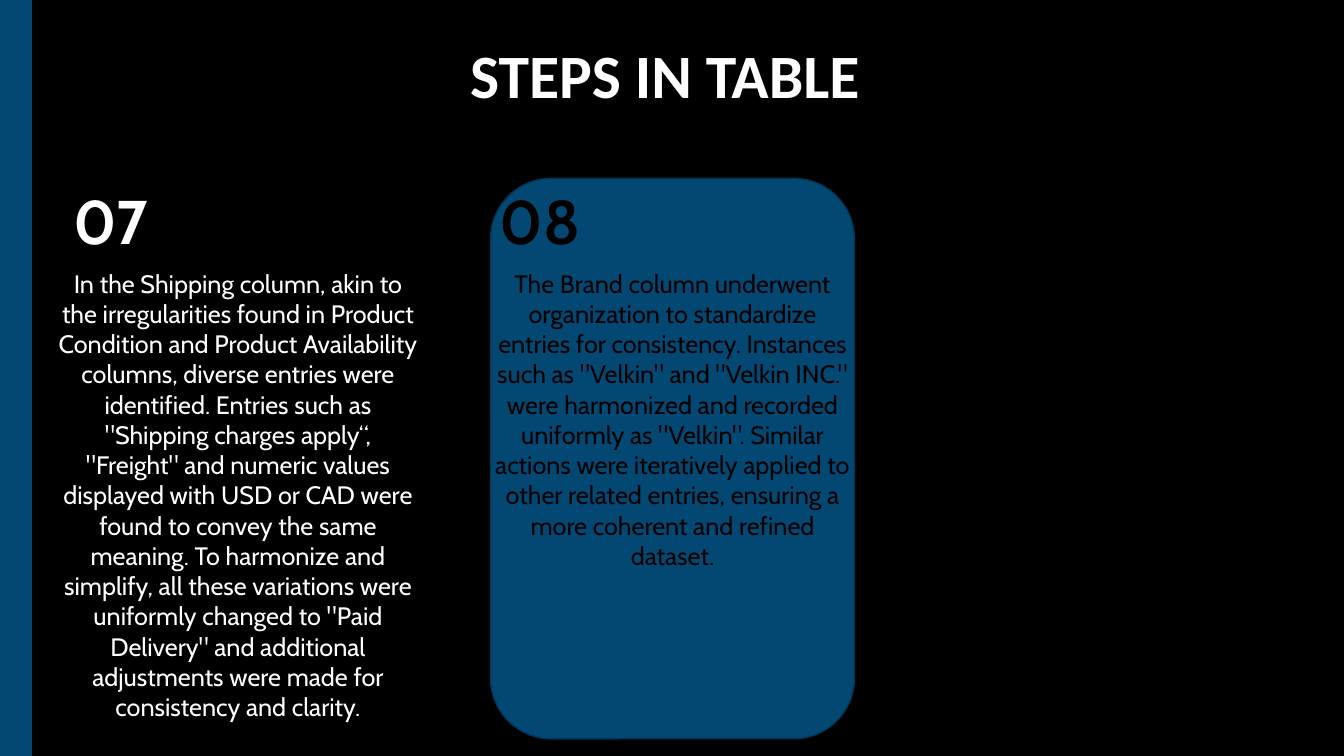
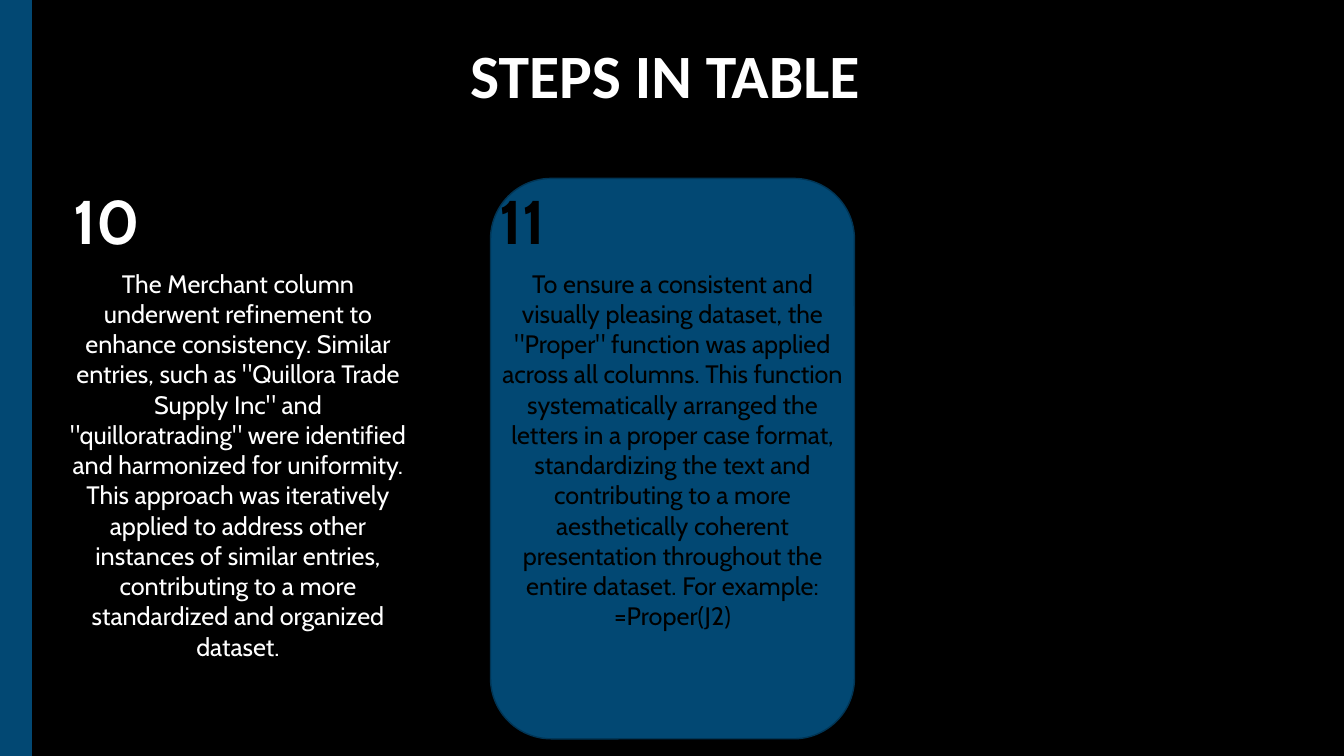
from dataclasses import dataclass

from pptx import Presentation
from pptx.dml.color import RGBColor
from pptx.enum.shapes import MSO_SHAPE as Preset
from pptx.enum.text import MSO_ANCHOR as Anchor, MSO_AUTO_SIZE as AutoSize, PP_ALIGN as Align
from pptx.util import Inches, Pt


@dataclass(frozen=True)
class Theme:
    background: RGBColor = RGBColor.from_string("000000")
    light: RGBColor = RGBColor.from_string("FFFFFF")
    dark: RGBColor = RGBColor.from_string("000000")
    panel: RGBColor = RGBColor.from_string("024873")
    panel_edge: RGBColor = RGBColor.from_string("013555")
    title_font: str = "Calibri"
    body_font: str = "Cabin"
    heading_size: Pt = Pt(44)
    body_size: Pt = Pt(18)


theme = Theme()


def add_panel(slide, preset, left, top, width, height, edge):
    shape = slide.shapes.add_shape(preset, Inches(left), Inches(top), Inches(width), Inches(height))
    shape.shadow.inherit = False
    shape.fill.solid()
    shape.fill.fore_color.rgb = theme.panel
    shape.line.color.rgb = edge
    shape.line.width = Pt(1)


def add_text(slide, lines, left, top, width, height, size, color, bold, align):
    frame = slide.shapes.add_textbox(Inches(left), Inches(top), Inches(width), Inches(height)).text_frame
    frame.word_wrap = True
    frame.auto_size = AutoSize.SHAPE_TO_FIT_TEXT
    frame.text = "\n".join(lines)
    for paragraph in frame.paragraphs:
        paragraph.alignment = align
        paragraph.font.name = theme.body_font
        paragraph.font.size = size
        paragraph.font.bold = bold
        paragraph.font.color.rgb = color


TITLE = "STEPS IN TABLE "
CARD_TOP, CARD_WIDTH, CARD_HEIGHT = 1.77, 3.61, 5.56
NUMBER_WIDTH, NUMBER_HEIGHT = 1.62, 0.84
BODY_TOP = CARD_TOP + NUMBER_HEIGHT
COLUMNS = [
    {"center": 2.36, "number_left": 0.63, "color": theme.light},
    {"center": 6.67, "number_left": 4.86, "color": theme.dark},
]
SLIDES = [
    {"body_width": 3.78, "steps": [
        ("07", 4.64, [
            'In the Shipping column, akin to the irregularities found in Product Condition and '
            'Product Availability columns, diverse entries were identified. Entries such as '
            '"Shipping charges apply“, "Freight" and numeric values displayed with USD or CAD were '
            'found to convey the same meaning. To harmonize and simplify, all these variations were '
            'uniformly changed to "Paid Delivery" and additional adjustments were made for '
            'consistency and clarity.']),
        ("08", 3.13, [
            'The Brand column underwent organization to standardize entries for consistency. '
            'Instances such as "Velkin" and "Velkin INC." were harmonized and recorded uniformly as '
            '"Velkin". Similar actions were iteratively applied to other related entries, ensuring '
            'a more coherent and refined dataset.']),
    ]},
    {"body_width": 3.61, "steps": [
        ("10", 4.04, [
            'The Merchant column underwent refinement to enhance consistency. Similar entries, '
            'such as "Quillora Trade Supply Inc" and "quilloratrading" were identified and harmonized '
            'for uniformity. This approach was iteratively applied to address other instances of '
            'similar entries, contributing to a more standardized and organized dataset.']),
        ("11", 3.74, [
            'To ensure a consistent and visually pleasing dataset, the "Proper" function was applied '
            'across all columns. This function systematically arranged the letters in a proper case '
            'format, standardizing the text and contributing to a more aesthetically coherent '
            'presentation throughout the entire dataset. For example:',
            '=Proper(J2)']),
    ]},
]

presentation = Presentation()
presentation.slide_width = Inches(13.33)
presentation.slide_height = Inches(7.5)
background = presentation.slide_master.background.fill
background.solid()
background.fore_color.rgb = theme.background
title_only = presentation.slide_layouts[5]

for content in SLIDES:
    slide = presentation.slides.add_slide(title_only)
    title = slide.shapes.title
    title.left, title.top = Inches(0), Inches(0.23)
    title.width, title.height = presentation.slide_width, Inches(0.93)
    title.text_frame.text = TITLE
    title.text_frame.vertical_anchor = Anchor.BOTTOM
    paragraph = title.text_frame.paragraphs[0]
    paragraph.alignment = Align.CENTER
    paragraph.line_spacing = 0.9
    paragraph.font.name = theme.title_font
    paragraph.font.size = theme.heading_size
    paragraph.font.bold = True
    paragraph.font.color.rgb = theme.light

    add_panel(slide, Preset.RECTANGLE, 0, 0, 0.31, 7.5, theme.panel)
    add_panel(slide, Preset.ROUNDED_RECTANGLE, COLUMNS[1]["center"] - CARD_WIDTH / 2, CARD_TOP,
              CARD_WIDTH, CARD_HEIGHT, theme.panel_edge)

    body_width = content["body_width"]
    for column, (number, body_height, lines) in zip(COLUMNS, content["steps"]):
        add_text(slide, [number], column["number_left"], CARD_TOP, NUMBER_WIDTH, NUMBER_HEIGHT,
                 theme.heading_size, column["color"], True, Align.LEFT)
        add_text(slide, lines, column["center"] - body_width / 2, BODY_TOP, body_width, body_height,
                 theme.body_size, column["color"], False, Align.CENTER)

presentation.save("out.pptx")
